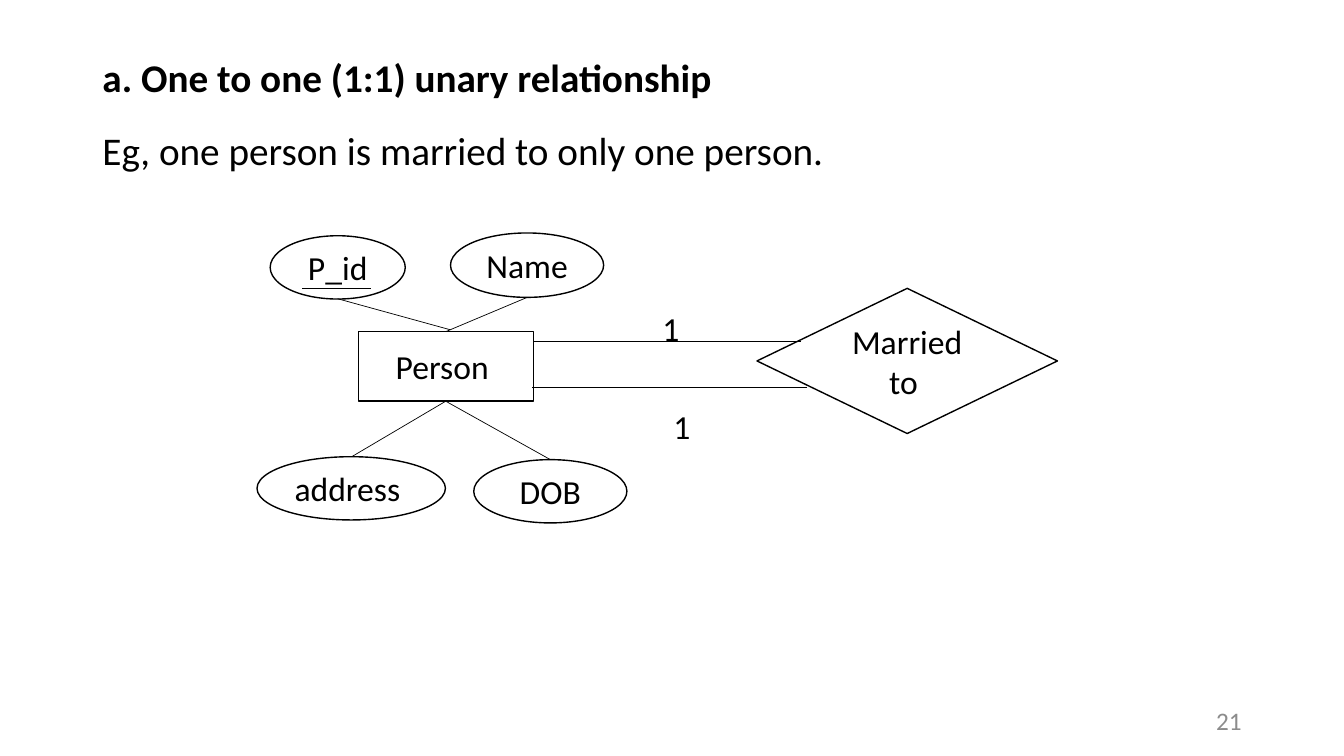
import dataclasses

import lxml.etree
import pptx
import pptx.dml.color
import pptx.enum.shapes
import pptx.enum.text
import pptx.oxml.ns
import pptx.util

Pt = pptx.util.Pt
RGB = pptx.dml.color.RGBColor
Kind = pptx.enum.shapes.MSO_SHAPE
Align = pptx.enum.text.PP_ALIGN
Anchor = pptx.enum.text.MSO_ANCHOR
Fit = pptx.enum.text.MSO_AUTO_SIZE


@dataclasses.dataclass(frozen=True)
class Theme:
    font: str = "Calibri"
    ink: RGB = RGB(0, 0, 0)
    paper: RGB = RGB(255, 255, 255)
    muted: RGB = RGB(0x8C, 0x8C, 0x8C)
    body: float = 28
    label: float = 24
    page: float = 18
    edge: float = 1
    thin: float = 0.5


THEME = Theme()


def add_run(para, text, size, color=THEME.ink, bold=False):
    run = para.add_run()
    run.text = text
    font = run.font
    font.name, font.size, font.bold = THEME.font, Pt(size), bold
    font.color.rgb = color


def add_tag(parent, name):
    return lxml.etree.SubElement(parent, pptx.oxml.ns.qn(name))


def place(shape, box):
    shape.left, shape.top, shape.width, shape.height = map(Pt, box)


def fill_body(slide, box, lines):
    """Write (text, bold) lines, without bullets, into the body placeholder."""
    body = slide.placeholders[1]
    place(body, box)
    frame = body.text_frame
    frame.auto_size = Fit.NONE
    for i, (text, bold) in enumerate(lines):
        para = frame.add_paragraph() if i else frame.paragraphs[0]
        para.alignment = Align.JUSTIFY
        para.line_spacing = 0.9
        para.space_before = Pt(10 if i else 0)
        para.space_after = Pt(12)
        props = para._p.get_or_add_pPr()
        props.set("marL", "0")
        props.set("indent", "0")
        add_tag(props, "a:buNone")
        add_run(para, text, THEME.body, bold=bold)


def add_node(shapes, kind, box, text):
    node = shapes.add_shape(kind, *map(Pt, box))
    node.shadow.inherit = False
    node.fill.solid()
    node.fill.fore_color.rgb = THEME.paper
    node.line.color.rgb = THEME.ink
    node.line.width = Pt(THEME.edge)
    frame = node.text_frame
    frame.word_wrap = True
    frame.vertical_anchor = Anchor.MIDDLE
    para = frame.paragraphs[0]
    para.alignment = Align.CENTER
    add_run(para, text, THEME.label)


def add_line(shapes, start, end):
    line = shapes.add_connector(
        pptx.enum.shapes.MSO_CONNECTOR.STRAIGHT, *map(Pt, start + end))
    line.line.color.rgb = THEME.ink
    line.line.width = Pt(THEME.thin)
    add_tag(line._element.spPr, "a:effectLst")


def add_text(shapes, box, text, size, color, align, anchor=Anchor.TOP):
    frame = shapes.add_textbox(*map(Pt, box)).text_frame
    frame.word_wrap = True
    frame.vertical_anchor = anchor
    para = frame.paragraphs[0]
    para.alignment = align
    add_run(para, text, size, color)


def draw_model(shapes):
    """Draw the Person entity, its attributes and its link to itself."""
    add_node(shapes, Kind.FLOWCHART_DECISION, (540.7, 206, 214.6, 103.7),
             "Married to ")
    add_line(shapes, (376.6, 243.5), (572.4, 243.5))
    add_node(shapes, Kind.RECTANGLE, (256.3, 236.9, 124.6, 49.7), "Person ")

    attributes = [
        ("P_id", (193, 168.4, 96.5, 45.2)),
        ("address ", (183.6, 326.2, 134.6, 45.2)),
        ("DOB", (338.4, 328.3, 109.4, 45.2)),
        ("Name ", (321.8, 166.4, 109.4, 46)),
    ]
    for text, box in attributes:
        add_node(shapes, Kind.OVAL, box, text)

    lines = [
        ((216, 206), (265, 206)),
        ((241.2, 213.4), (321.8, 235.6)),
        ((318.4, 236.9), (376.6, 212.4)),
        ((393.1, 328.3), (318.4, 286.6)),
        ((318.4, 286.6), (251.3, 326.2)),
        ((380.2, 277), (576.7, 277)),
    ]
    for start, end in lines:
        add_line(shapes, start, end)

    for left, top in ((452.9, 216.7), (460.8, 286.6)):
        add_text(shapes, (left, top, 52.6, 36), "1",
                 THEME.label, THEME.ink, Align.CENTER)


def main():
    deck = pptx.Presentation()
    deck.slide_width, deck.slide_height = Pt(960), Pt(540)
    slide = deck.slides.add_slide(deck.slide_layouts[1])
    title = slide.shapes.title._element
    title.getparent().remove(title)

    fill_body(slide, (66, 38.2, 828, 501.8), [
        ("a. One to one (1:1) unary relationship", True),
        ("Eg, one person is married to only one person.", False),
    ])
    add_text(slide.shapes, (678, 500.4, 216, 28.8), "21",
             THEME.page, THEME.muted, Align.RIGHT, Anchor.MIDDLE)
    draw_model(slide.shapes.add_group_shape().shapes)
    deck.save("out.pptx")


if __name__ == "__main__":
    main()
